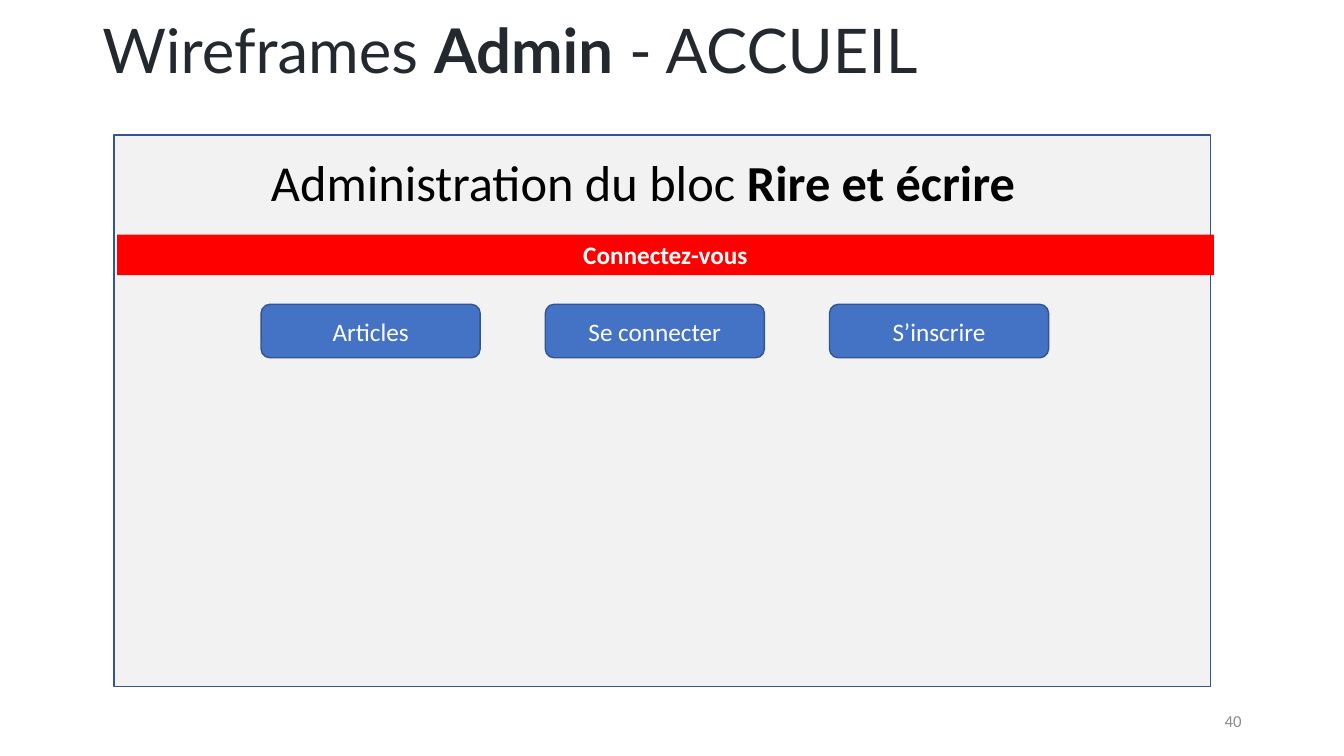
from pptx import Presentation
from pptx.dml.color import RGBColor
from pptx.enum import shapes, text
from pptx.util import Pt

# Each text is a list of (wording, bold) pieces.
TITLE = [("Wireframes ", False), ("Admin", True), (" - ACCUEIL", False)]
HEADING = [("Administration du bloc ", False), ("Rire et écrire", True)]
BANNER = [("Connectez-vous", True)]
BUTTONS = ["Articles", "Se connecter", "S’inscrire"]
PAGE_NUMBER = [("40", False)]

INK = RGBColor(0x24, 0x29, 0x2F)
BLACK = RGBColor(0, 0, 0)
WHITE = RGBColor(0xFF, 0xFF, 0xFF)
GREY = RGBColor(0x8C, 0x8C, 0x8C)
PANEL_GREY = RGBColor(0xF2, 0xF2, 0xF2)
RED = RGBColor(0xFF, 0, 0)
BLUE = RGBColor(0x44, 0x72, 0xC4)
OUTLINE = RGBColor(0x32, 0x54, 0x91)

RECT = shapes.MSO_SHAPE.RECTANGLE
ROUNDED = shapes.MSO_SHAPE.ROUNDED_RECTANGLE
MIDDLE = text.MSO_ANCHOR.MIDDLE
LEFT, CENTER, RIGHT = text.PP_ALIGN.LEFT, text.PP_ALIGN.CENTER, text.PP_ALIGN.RIGHT

PANEL_WIDTH = 783.4
BUTTON_LEFT, BUTTON_TOP, BUTTON_STEP = 186.5, 217.4, 203
BUTTON_WIDTH, BUTTON_HEIGHT = 156.5, 38.2


def write(shape, pieces, size, color, align=LEFT, anchor=MIDDLE, font="Calibri"):
    frame = shape.text_frame
    frame.word_wrap = True
    frame.vertical_anchor = anchor
    paragraph = frame.paragraphs[0]
    paragraph.alignment = align
    paragraph.font.name = font
    paragraph.font.size = Pt(size)
    paragraph.font.color.rgb = color
    for wording, bold in pieces:
        run = paragraph.add_run()
        run.text = wording
        run.font.bold = bold
    return paragraph


def add_text(slide, box, *args, **options):
    return write(slide.shapes.add_textbox(*map(Pt, box)), *args, **options)


def add_block(slide, kind, box, fill, outline=None):
    block = slide.shapes.add_shape(kind, *map(Pt, box))
    block.shadow.inherit = False
    block.fill.solid()
    block.fill.fore_color.rgb = fill
    if outline is None:
        block.line.fill.background()
    else:
        block.line.color.rgb = outline
        block.line.width = Pt(1)
    return block


def main():
    deck = Presentation()
    deck.slide_width, deck.slide_height = Pt(960), Pt(540)
    slide = deck.slides.add_slide(deck.slide_layouts[6])

    title = add_text(slide, (66, 10, 828, 57), TITLE, 44, INK, font="Lato")
    title.line_spacing = 0.9

    add_block(slide, RECT, (81.4, 96.5, PANEL_WIDTH, 393.8), PANEL_GREY, OUTLINE)
    add_text(slide, (186.5, 104.4, 628.6, 51), HEADING, 36, BLACK,
             anchor=text.MSO_ANCHOR.TOP)
    banner = add_block(slide, RECT, (83.6, 167.6, PANEL_WIDTH, 29), RED)
    write(banner, BANNER, 18, WHITE, CENTER, text.MSO_ANCHOR.TOP)

    for column, label in enumerate(BUTTONS):
        left = BUTTON_LEFT + column * BUTTON_STEP
        button = add_block(slide, ROUNDED,
                           (left, BUTTON_TOP, BUTTON_WIDTH, BUTTON_HEIGHT),
                           BLUE, OUTLINE)
        write(button, [(label, False)], 18, WHITE, CENTER)

    add_text(slide, (678, 500.5, 216, 28.8), PAGE_NUMBER, 12, GREY, RIGHT)
    deck.save("out.pptx")


if __name__ == "__main__":
    main()
